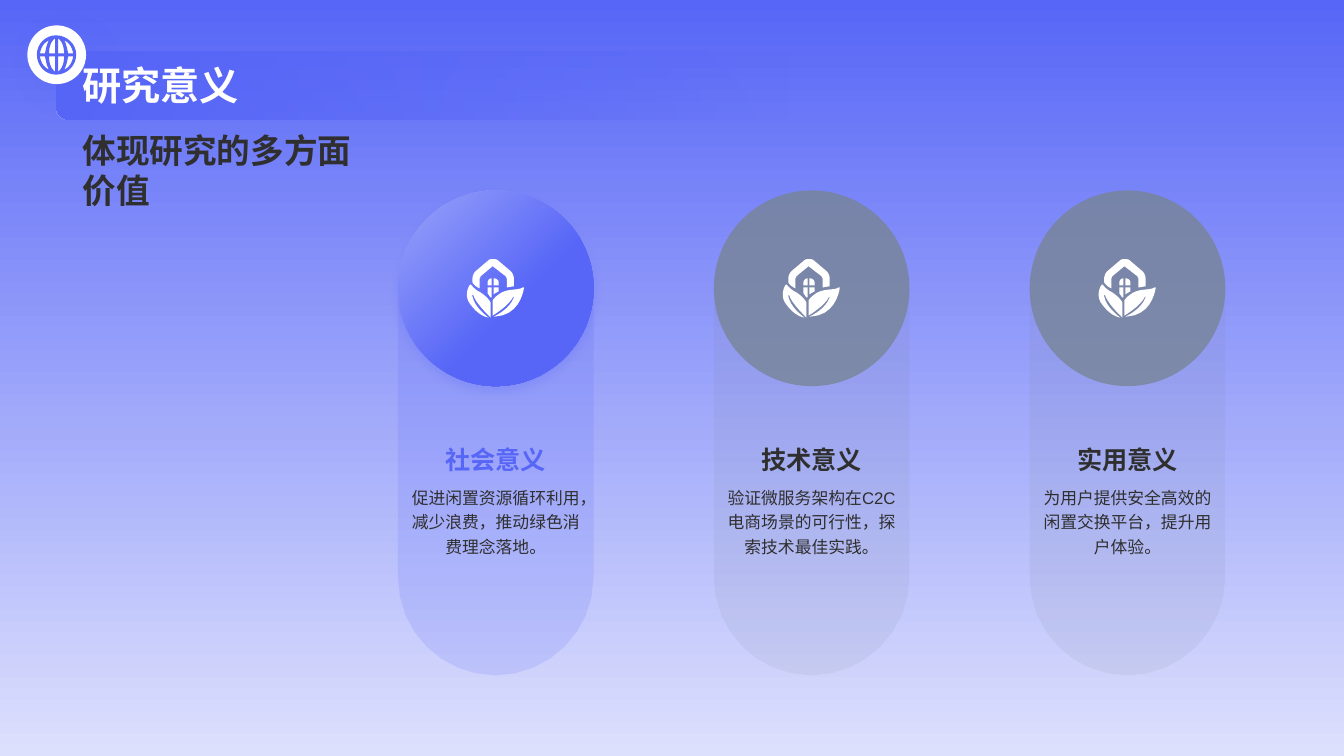
import pptx
import pptx.util
import pptx.dml.color
import pptx.enum.lang
import pptx.enum.shapes
import pptx.enum.text
import pptx.oxml
import pptx.oxml.ns

Cm = pptx.util.Cm
Pt = pptx.util.Pt
RGB = pptx.dml.color.RGBColor
SHAPE = pptx.enum.shapes.MSO_SHAPE
ALIGN = pptx.enum.text.PP_ALIGN
ANCHOR = pptx.enum.text.MSO_ANCHOR
ZH = pptx.enum.lang.MSO_LANGUAGE_ID.SIMPLIFIED_CHINESE

BLUE = RGB(0x57, 0x66, 0xF7)
LIGHT = RGB(0x9A, 0xA3, 0xFA)
PALE = RGB(0xDD, 0xE0, 0xFD)
GREY = RGB(0x77, 0x84, 0x95)
DARK = RGB(0x2F, 0x2F, 0x2F)
WHITE = RGB(0xFF, 0xFF, 0xFF)

TITLE = "研究意义"
LEAD = "体现研究的多方面价值"
CARDS = [
    ("社会意义", "促进闲置资源循环利用，减少浪费，推动绿色消费理念落地。"),
    ("技术意义", "验证微服务架构在C2C电商场景的可行性，探索技术最佳实践。"),
    ("实用意义", "为用户提供安全高效的闲置交换平台，提升用户体验。"),
]

# Outlines: M, L, C and Z steps in units of 0.0254 cm
GLOBE = """
M 19 0 C 8 0 0 9 0 19 C 0 30 8 39 19 39 C 30 39 39 30 39 19 C 39 9 30 0 19 0 Z
M 36 18 L 31 18 C 30 13 29 8 27 5 C 32 7 35 12 36 18 Z
M 18 3 L 18 18 L 12 18 C 12 10 15 5 18 3 Z
M 18 21 L 18 36 C 15 34 12 29 12 21 Z
M 21 36 L 21 21 L 27 21 C 27 29 24 34 21 36 Z
M 21 18 L 21 3 C 24 5 27 10 27 18 Z
M 12 5 C 10 8 9 13 8 18 L 3 18 C 4 12 7 7 12 5 Z
M 3 21 L 8 21 C 9 26 10 31 12 34 C 7 32 4 27 3 21 Z
M 27 34 C 29 31 30 26 31 21 L 36 21 C 35 27 32 32 27 34 Z
"""
HOUSE = """
M 56 28 L 56 29 C 55 35 50 56 27 57 L 26 57 C 30 55 42 49 46 38 L 46 37 L 45 38
C 41 46 28 54 25 56 L 25 45 C 25 44 25 42 25 41 C 26 39 29 36 34 33
C 42 29 51 31 55 28 Z
M 26 28 L 31 28 L 31 32 C 29 33 27 34 26 35 Z
M 20 28 L 24 28 L 24 38 L 23 38 C 22 37 21 35 20 34 Z
M 3 25 L 4 26 C 5 27 7 30 13 33 C 19 37 22 41 23 43 C 23 44 23 46 23 47 L 23 58
C 19 54 8 43 6 36 L 5 35 L 5 37 C 7 47 17 55 21 58 C 15 57 9 53 3 45
C -3 38 0 29 2 26 Z
M 26 19 C 29 19 31 21 31 23 L 31 26 L 26 26 Z
M 24 19 L 24 26 L 20 26 L 20 23 C 20 21 22 19 24 19 Z
M 25 0 C 27 0 29 0 30 1 L 43 12 C 45 14 46 17 46 19 L 46 27 C 44 27 41 28 39 28
L 39 19 C 39 19 38 18 38 17 L 25 7 L 13 17 C 13 18 12 19 12 19 L 12 29
C 8 27 6 25 5 23 L 5 19 C 5 17 6 14 8 12 L 21 1 C 22 0 24 0 25 0 Z
"""
PILL = "M 0 0 L 194 0 L 194 287 C 194 340 150 384 97 384 C 43 384 0 340 0 287 Z"
CUP = """M 194 0 L 194 287 C 194 340 150 384 97 384 C 43 384 0 340 0 287 L 0 9
C 5 58 46 96 97 96 C 147 96 188 58 193 9 Z"""

LEFT, STEP, WIDE = 10.03, 7.96, 4.93
TOP = 4.8

deck = pptx.Presentation()
deck.slide_width, deck.slide_height = Cm(33.87), Cm(19.05)
slide = deck.slides.add_slide(deck.slide_layouts[6])


def fade(shape, *parts):
    """Set the opacity in percent of each fill colour in turn."""
    for color, part in zip(shape._element.spPr.iter(pptx.oxml.ns.qn("a:srgbClr")), parts):
        node = pptx.oxml.parse_xml(
            f'<a:alpha {pptx.oxml.ns.nsdecls("a")} val="{part * 1000}"/>')
        color.append(node)


def blend(fill, first, last, angle, end=1):
    fill.gradient()
    fill.gradient_angle = angle
    for stop, color, place in zip(fill.gradient_stops, (first, last), (0, end)):
        stop.color.rgb = color
        stop.position = place


def glow(shape, part, blur, dist, angle):
    """Cast a blue outer shadow, lengths in points."""
    old = shape._element.spPr.find(pptx.oxml.ns.qn("a:effectLst"))
    old.append(pptx.oxml.parse_xml(
        f'<a:outerShdw {pptx.oxml.ns.nsdecls("a")} blurRad="{Pt(blur)}" '
        f'dist="{Pt(dist)}" dir="{angle * 60000}" algn="ctr" rotWithShape="0">'
        f'<a:srgbClr val="{BLUE}"><a:alpha val="{part * 1000}"/></a:srgbClr>'
        '</a:outerShdw>'))


def paint(shape, color=None):
    if color is not None:
        shape.fill.solid()
        shape.fill.fore_color.rgb = color
    shape.line.fill.background()
    shape.shadow.inherit = False
    return shape


def form(kind, x, y, w, h, color=None):
    return paint(slide.shapes.add_shape(kind, Cm(x), Cm(y), Cm(w), Cm(h)), color)


def trace(text, steps=8):
    """Turn an outline into lists of points, curves cut into short lines."""
    loops, words = [], iter(text.split())
    for word in words:
        if word == "Z":
            continue
        count = 3 if word == "C" else 1
        spots = [(int(next(words)), int(next(words))) for _ in range(count)]
        if word == "M":
            loops.append(spots)
        elif word == "L":
            loops[-1] += spots
        else:
            ends = list(zip(loops[-1][-1], *spots))
            for i in range(1, steps + 1):
                t = i / steps
                u = 1 - t
                loops[-1].append(tuple(
                    a * u**3 + 3 * b * u * u * t + 3 * c * u * t * t + d * t**3
                    for a, b, c, d in ends))
    return [[(x * 25.4, y * 25.4) for x, y in loop] for loop in loops]


def draw(text, x, y, color):
    pen = None
    for loop in trace(text):
        if pen is None:
            pen = slide.shapes.build_freeform(*loop[0], scale=Cm(0.001))
        else:
            pen.move_to(*loop[0])
        pen.add_line_segments(loop[1:], close=True)
    return paint(pen.convert_to_shape(Cm(x), Cm(y)), color)


def write(text, x, y, w, h, size, color, bold=True, align=ALIGN.LEFT,
          anchor=ANCHOR.TOP, space=1.0):
    frame = slide.shapes.add_textbox(Cm(x), Cm(y), Cm(w), Cm(h)).text_frame
    frame.word_wrap = True
    frame.vertical_anchor = anchor
    frame.text = text
    para = frame.paragraphs[0]
    para.alignment = align
    para.line_spacing = space
    font = para.runs[0].font
    font.name, font.size, font.bold = "Arial", Pt(size), bold
    font.color.rgb = color
    font.language_id = ZH


blend(slide.background.fill, BLUE, PALE, 270)

bar = form(SHAPE.ROUNDED_RECTANGLE, 1.42, 1.3, 18.57, 1.7)
blend(bar.fill, BLUE, BLUE, 0)
fade(bar, 100, 0)
badge = form(SHAPE.OVAL, 0.69, 0.64, 1.48, 1.48, WHITE)
glow(badge, 30, 20, 10, 45)
draw(GLOBE, 0.93, 0.89, BLUE)
write(TITLE, 1.83, 0.36, 30.18, 2.49, 28, WHITE, anchor=ANCHOR.BOTTOM)
write(LEAD, 1.83, 3.15, 7.82, 4.93, 24, DARK)

for i, (head, body) in enumerate(CARDS):
    x = LEFT + i * STEP
    main = i == 0
    tint = BLUE if main else GREY
    fade(draw(PILL if main else CUP, x, TOP + WIDE / 2, tint), 15 if main else 10)
    write(head, x, 9.91, WIDE, 2.18, 18, BLUE if main else DARK,
          align=ALIGN.CENTER, anchor=ANCHOR.BOTTOM)
    write(body, x, 12.07, WIDE, 3.35, 12, DARK, False, ALIGN.CENTER, space=1.2)
    disc = form(SHAPE.OVAL, x, TOP, WIDE, WIDE, tint)
    if main:
        blend(disc.fill, LIGHT, BLUE, 315, 0.6)
        glow(disc, 20, 6, 4, 90)
    else:
        fade(disc, 80)
    draw(HOUSE, x + 1.75, TOP + 1.73, WHITE)

deck.save("out.pptx")
